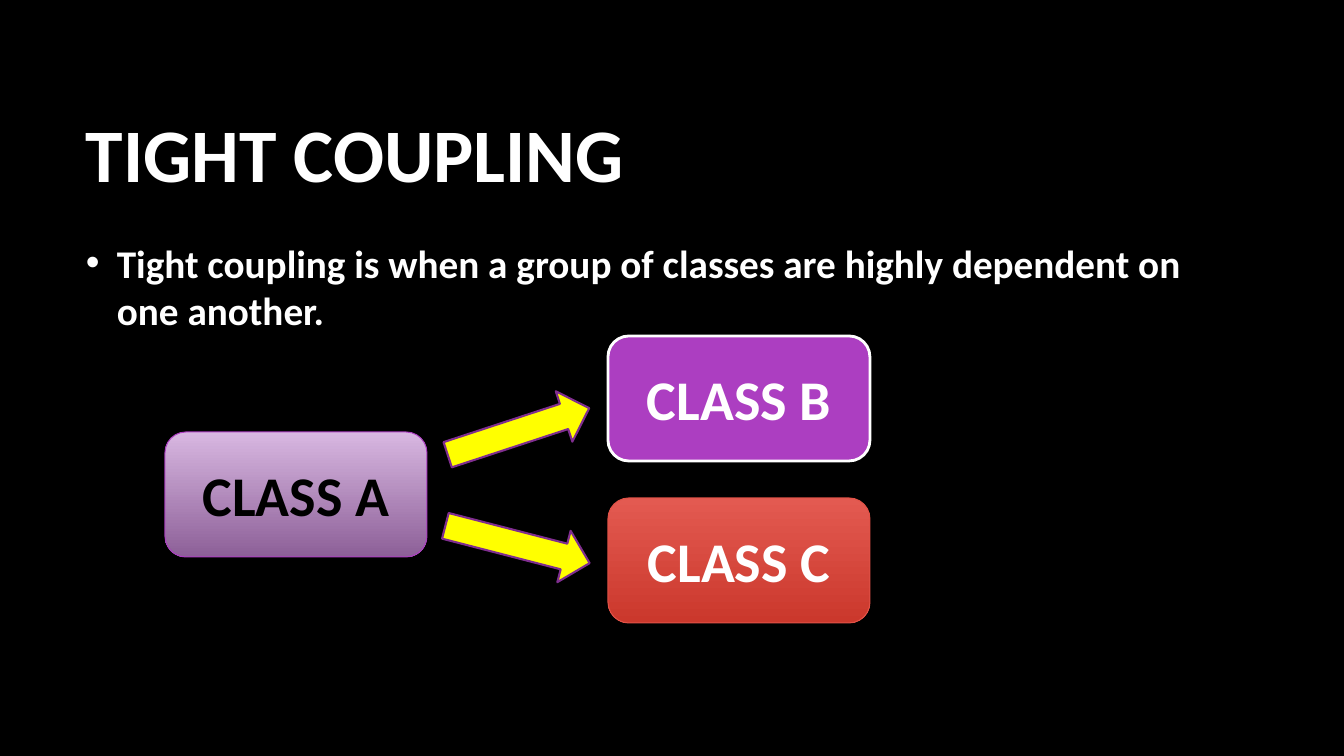
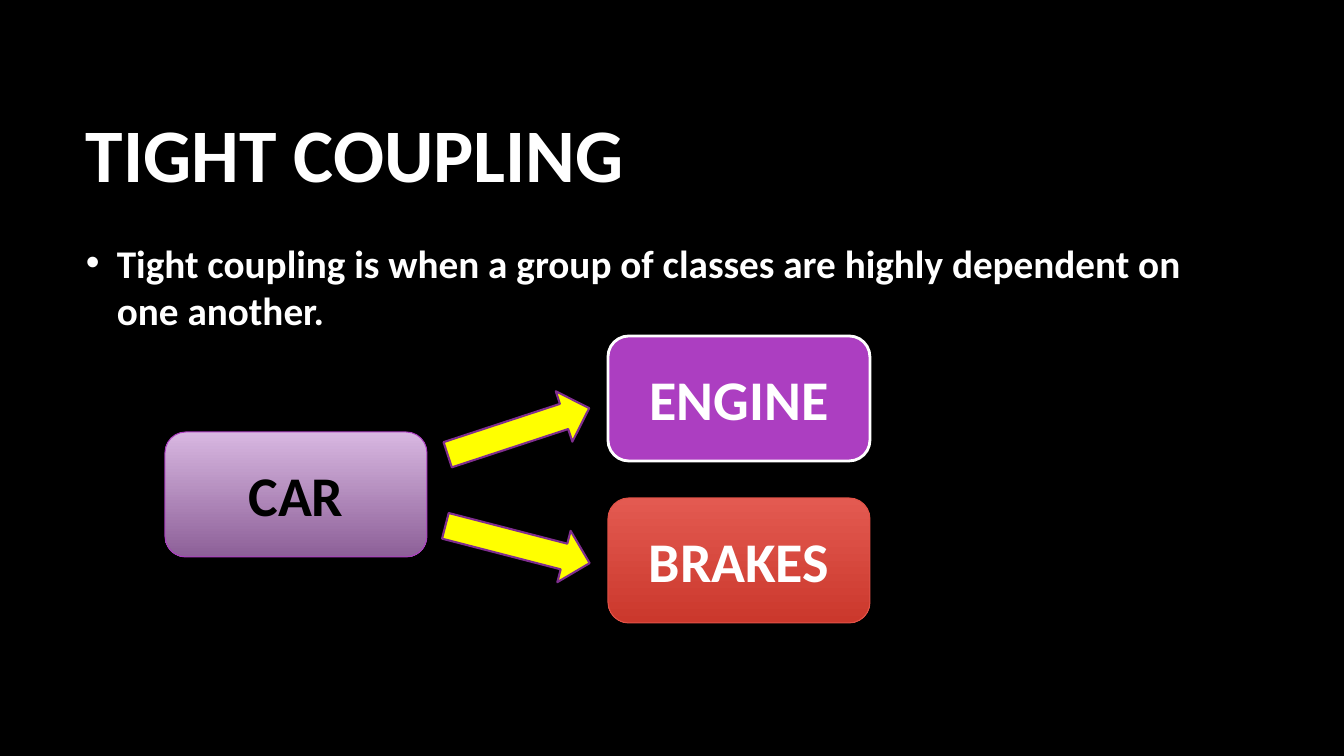
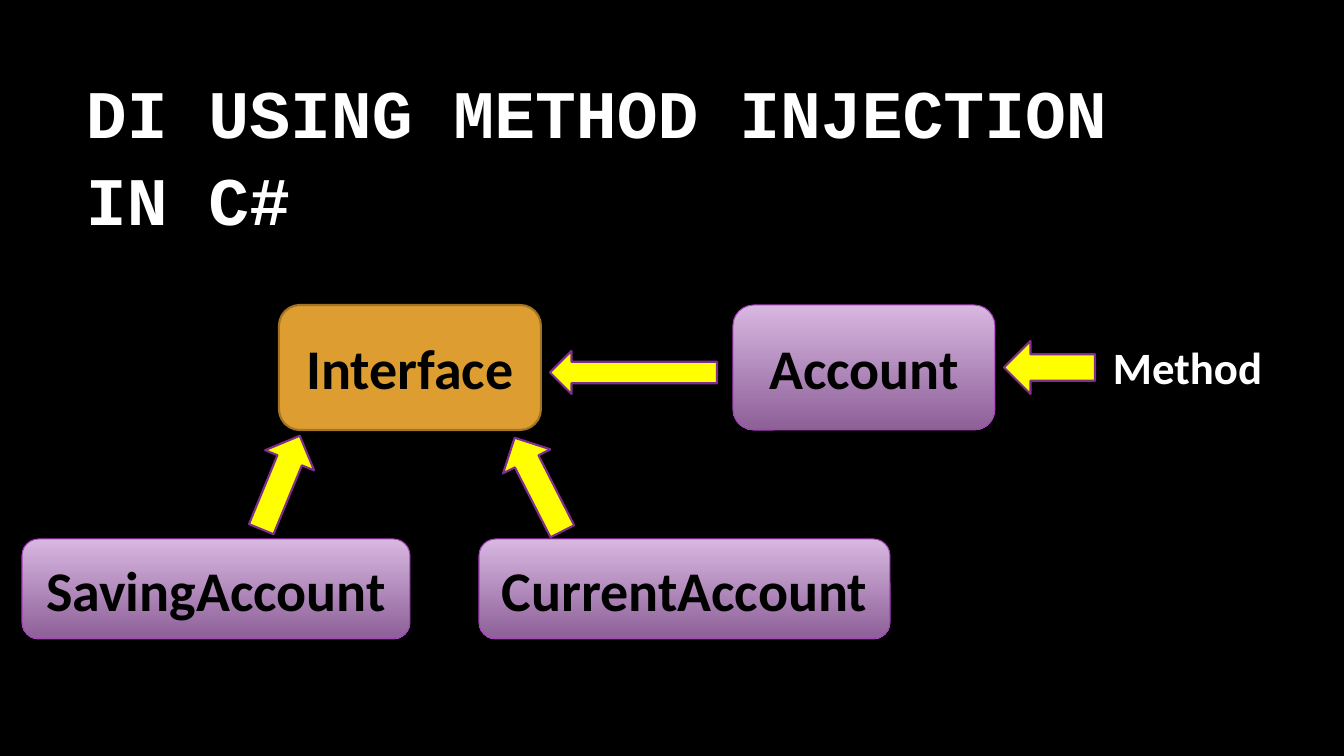
from dataclasses import dataclass
from typing import Optional

from lxml.etree import SubElement
from pptx import Presentation
from pptx.dml.color import RGBColor
from pptx.enum.shapes import MSO_SHAPE
from pptx.enum.text import MSO_ANCHOR, PP_ALIGN
from pptx.oxml.ns import qn
from pptx.util import Emu, Pt

EMU_PER_PX = 914400 / 100.8

BLACK = RGBColor(0x00, 0x00, 0x00)
WHITE = RGBColor(0xFF, 0xFF, 0xFF)
YELLOW = RGBColor(0xFF, 0xFF, 0x00)
PURPLE = RGBColor(0xAC, 0x3E, 0xC1)
DARK_PURPLE = RGBColor(0x7F, 0x2E, 0x8F)
LILAC = RGBColor(0xD8, 0xB7, 0xE1)
MAUVE = RGBColor(0x8D, 0x60, 0x98)
LIGHT_RED = RGBColor(0xE3, 0x5A, 0x51)
DARK_RED = RGBColor(0xCB, 0x38, 0x2C)
RED = RGBColor(0xE2, 0x52, 0x47)
ORANGE = RGBColor(0xDD, 0x9D, 0x31)
BROWN = RGBColor(0xA3, 0x74, 0x24)


@dataclass(frozen=True)
class BoxStyle:
    fill: RGBColor
    line: RGBColor
    line_pt: float
    text: RGBColor
    fill_end: Optional[RGBColor] = None


@dataclass(frozen=True)
class Box:
    label: str
    left: int
    top: int
    style: BoxStyle
    width: int = 262
    height: int = 125


@dataclass(frozen=True)
class Arrow:
    left: int
    top: int
    width: int
    rotation: float
    height: int = 53


LILAC_STYLE = BoxStyle(LILAC, PURPLE, 0.75, BLACK, MAUVE)
PURPLE_STYLE = BoxStyle(PURPLE, WHITE, 2, WHITE)
RED_STYLE = BoxStyle(LIGHT_RED, RED, 0.75, WHITE, DARK_RED)
ORANGE_STYLE = BoxStyle(ORANGE, BROWN, 1.5, BLACK)

COUPLING_ARROWS = [Arrow(444, 405, 149, 341.8), Arrow(443, 518, 149, 14.5)]

INJECTION_BOXES = [
    Box("Account", 733, 305, LILAC_STYLE),
    Box("SavingAccount", 22, 539, LILAC_STYLE, 388, 100),
    Box("CurrentAccount", 479, 539, LILAC_STYLE, 411, 100),
    Box("Interface", 279, 305, ORANGE_STYLE),
]
INJECTION_ARROWS = [
    Arrow(550, 351, 167, 180, 43),
    Arrow(230, 456, 101, 292.4),
    Arrow(486, 458, 105, 243),
    Arrow(1004, 341, 91, 180),
]


def px(value: int) -> Emu:
    return Emu(round(value * EMU_PER_PX))


def write(tf, text: str, *, size: float, color=WHITE, font="Calibri",
          align=PP_ALIGN.LEFT, anchor=MSO_ANCHOR.TOP, wrap=True):
    """Fill a text frame with one bold paragraph and return it."""
    tf.word_wrap = wrap
    tf.vertical_anchor = anchor
    p = tf.paragraphs[0]
    p.alignment = align
    r = p.add_run()
    r.text = text
    r.font.name = font
    r.font.size = Pt(size)
    r.font.bold = True
    r.font.color.rgb = color
    return p


def add_text(s, left: int, top: int, width: int, height: int, text: str, **fmt):
    tf = s.shapes.add_textbox(*map(px, (left, top, width, height))).text_frame
    return tf, write(tf, text, **fmt)


def add_title(s, text: str, **fmt):
    tf, p = add_text(s, 76, 68, 1117, 160, text, anchor=MSO_ANCHOR.MIDDLE, **fmt)
    tf.margin_top = px(14)
    return p


def add_bullet(s, text: str) -> None:
    _, p = add_text(s, 76, 234, 1120, 105, text, size=28)
    ppr = p._p.get_or_add_pPr()
    ppr.set("marL", str(px(31)))
    ppr.set("indent", str(-px(31)))
    SubElement(ppr, qn("a:buFont"), typeface="Arial")
    SubElement(ppr, qn("a:buChar"), char="•")


def add_shape(s, kind, item, fill: RGBColor, line: RGBColor, line_pt: float):
    sp = s.shapes.add_shape(
        kind, *map(px, (item.left, item.top, item.width, item.height)))
    sp.shadow.inherit = False
    sp.fill.solid()
    sp.fill.fore_color.rgb = fill
    sp.line.color.rgb = line
    sp.line.width = Pt(line_pt)
    return sp


def add_box(s, box: Box) -> None:
    style = box.style
    sp = add_shape(s, MSO_SHAPE.ROUNDED_RECTANGLE, box,
                   style.fill, style.line, style.line_pt)
    if style.fill_end is not None:
        sp.fill.gradient()
        sp.fill.gradient_angle = 270
        for stop, color in zip(sp.fill.gradient_stops, (style.fill, style.fill_end)):
            stop.color.rgb = color
    write(sp.text_frame, box.label, size=40, color=style.text,
          align=PP_ALIGN.CENTER, anchor=MSO_ANCHOR.MIDDLE)


def add_arrow(s, arrow: Arrow) -> None:
    sp = add_shape(s, MSO_SHAPE.RIGHT_ARROW, arrow, YELLOW, DARK_PURPLE, 1.5)
    sp.rotation = arrow.rotation


def add_diagram(s, boxes: list[Box], arrows: list[Arrow]) -> None:
    for box in boxes:
        add_box(s, box)
    for arrow in arrows:
        add_arrow(s, arrow)


def add_coupling_slide(prs, owner: str, upper: str, lower: str) -> None:
    s = prs.slides.add_slide(prs.slide_layouts[6])
    add_title(s, "TIGHT COUPLING", size=54)
    add_bullet(s, "Tight coupling is when a group of classes are highly "
                  "dependent on one another.")
    boxes = [
        Box(owner, 165, 432, LILAC_STYLE),
        Box(upper, 608, 336, PURPLE_STYLE),
        Box(lower, 608, 498, RED_STYLE),
    ]
    add_diagram(s, boxes, COUPLING_ARROWS)


def add_injection_slide(prs) -> None:
    s = prs.slides.add_slide(prs.slide_layouts[6])
    p = add_title(s, "DI USING METHOD INJECTION IN C#", size=48.6,
                  font="Courier New")
    p.line_spacing = 1.06
    add_diagram(s, INJECTION_BOXES, INJECTION_ARROWS)
    add_text(s, 1103, 335, 171, 65, "Method", size=32, wrap=False)


def main() -> None:
    prs = Presentation()
    prs.slide_width, prs.slide_height = px(1344), px(756)
    background = prs.slide_master.background.fill
    background.solid()
    background.fore_color.rgb = BLACK
    add_coupling_slide(prs, "CLASS A", "CLASS B", "CLASS C")
    add_coupling_slide(prs, "CAR", "ENGINE", "BRAKES")
    add_injection_slide(prs)
    prs.save("out.pptx")


if __name__ == "__main__":
    main()
